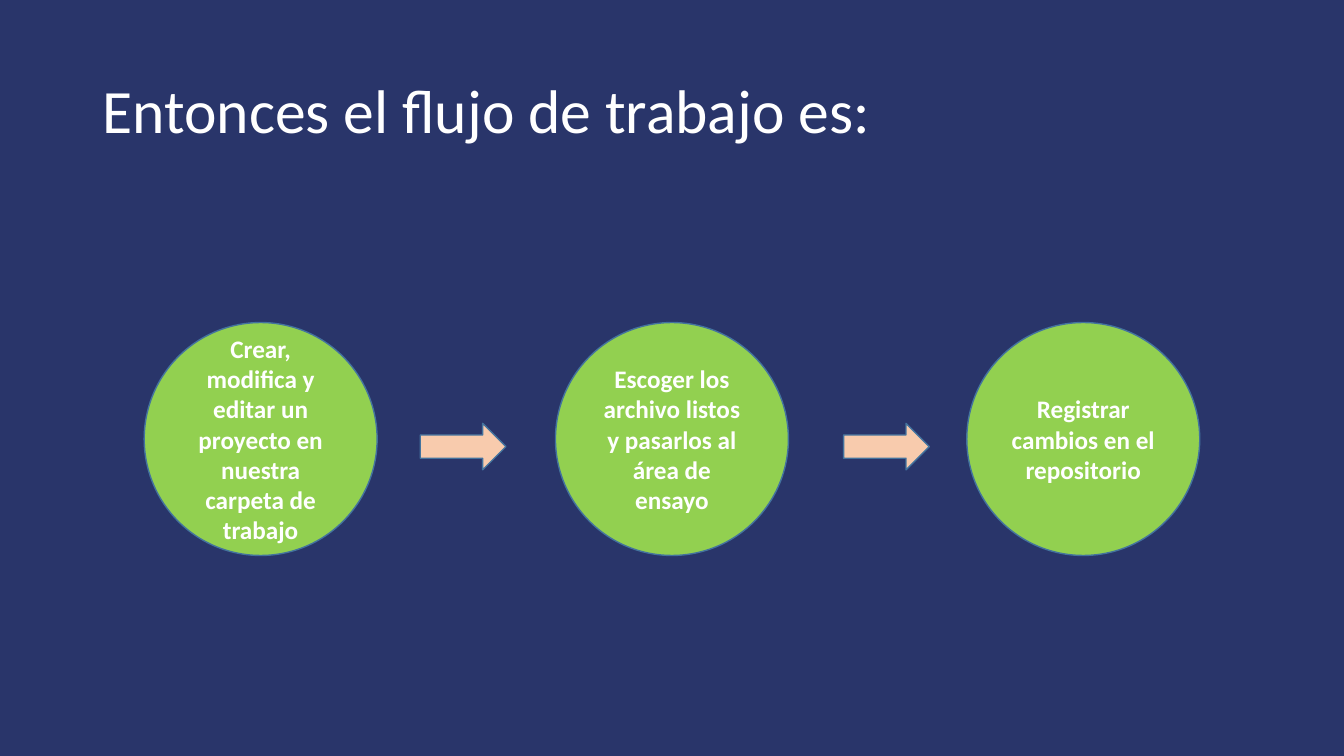
from pptx import Presentation
from pptx.dml.color import RGBColor
from pptx.enum.shapes import MSO_SHAPE
from pptx.enum.text import MSO_ANCHOR, PP_ALIGN
from pptx.util import Pt

NAVY = RGBColor(0x29, 0x35, 0x6A)
GREEN = RGBColor(0x92, 0xD0, 0x50)
PEACH = RGBColor(0xF8, 0xCB, 0xAD)
OUTLINE = RGBColor(0x43, 0x73, 0x9E)
WHITE = RGBColor(0xFF, 0xFF, 0xFF)
FONT = "Calibri"

STEPS = [
    "Crear, modifica y editar un proyecto en nuestra carpeta de trabajo",
    "Escoger los archivo listos y pasarlos al área de ensayo",
    "Registrar cambios en el repositorio",
]
STEP_LEFT, STEP_TOP, STEP_SIZE, STEP_PITCH = 103, 230.4, 166.4, 293.8
ARROW_LEFT, ARROW_TOP, ARROW_PITCH = 300.2, 302.4, 302.4
ARROW_WIDTH, ARROW_HEIGHT = 61.2, 33.2


def add_text(frame, text, size, alignment, bold=False):
    frame.word_wrap = True
    frame.vertical_anchor = MSO_ANCHOR.MIDDLE
    paragraph = frame.paragraphs[0]
    paragraph.alignment = alignment
    run = paragraph.add_run()
    run.text = text
    run.font.name = FONT
    run.font.size = Pt(size)
    run.font.bold = bold
    run.font.color.rgb = WHITE
    return paragraph


def add_title(slide, text):
    title = slide.shapes.title
    title.left, title.top = Pt(66), Pt(28.8)
    title.width, title.height = Pt(828), Pt(104.4)
    add_text(title.text_frame, text, 44, PP_ALIGN.LEFT).line_spacing = 0.9


def add_outlined(slide, kind, left, top, width, height, fill):
    shape = slide.shapes.add_shape(kind, Pt(left), Pt(top), Pt(width), Pt(height))
    shape.shadow.inherit = False
    shape.fill.solid()
    shape.fill.fore_color.rgb = fill
    shape.line.color.rgb = OUTLINE
    shape.line.width = Pt(1)
    return shape


def add_step(slide, index, text):
    circle = add_outlined(slide, MSO_SHAPE.OVAL, STEP_LEFT + index * STEP_PITCH,
                          STEP_TOP, STEP_SIZE, STEP_SIZE, GREEN)
    add_text(circle.text_frame, text, 18, PP_ALIGN.CENTER, bold=True)


def add_arrow(slide, index):
    add_outlined(slide, MSO_SHAPE.RIGHT_ARROW, ARROW_LEFT + index * ARROW_PITCH,
                 ARROW_TOP, ARROW_WIDTH, ARROW_HEIGHT, PEACH)


def main():
    deck = Presentation()
    deck.slide_width, deck.slide_height = Pt(960), Pt(540)
    slide = deck.slides.add_slide(deck.slide_layouts.get_by_name("Title Only"))
    slide.background.fill.solid()
    slide.background.fill.fore_color.rgb = NAVY

    add_title(slide, "Entonces el flujo de trabajo es:")
    for index, text in enumerate(STEPS):
        add_step(slide, index, text)
    for index in range(len(STEPS) - 1):
        add_arrow(slide, index)

    deck.save("out.pptx")


if __name__ == "__main__":
    main()
